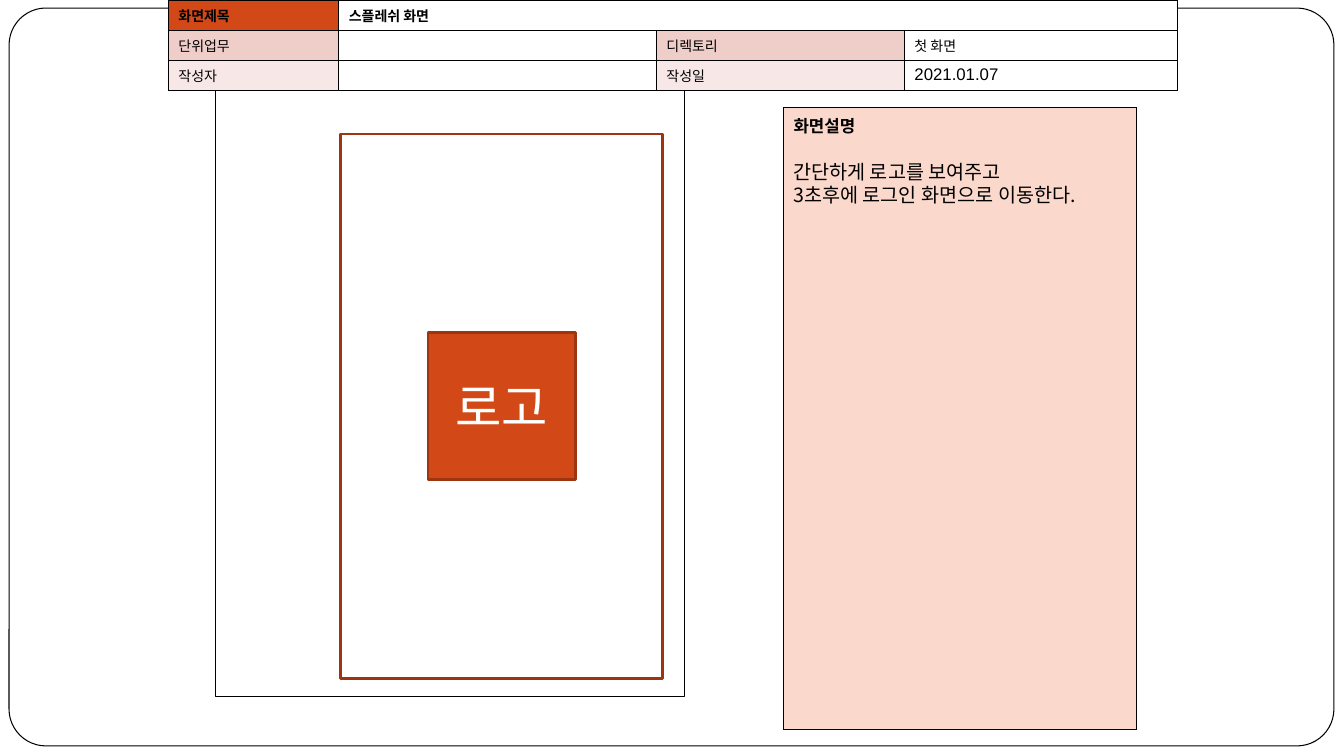
from pptx import Presentation
from pptx.dml.color import RGBColor as Rgb
from pptx.enum.shapes import MSO_SHAPE as Shape
from pptx.enum.text import MSO_ANCHOR as Anchor, PP_ALIGN as Align
from pptx.oxml.ns import qn
from pptx.util import Inches, Pt
from lxml.etree import SubElement

SCREEN_INFO = [
    ["화면제목", "스플레쉬 화면", "", ""],
    ["단위업무", "", "디렉토리", "첫 화면"],
    ["작성자", "", "작성일", "2021.01.07"],
]
DESCRIPTION_HEADING = "화면설명"
DESCRIPTION = ["간단하게 로고를 보여주고", "3초후에 로그인 화면으로 이동한다."]
LOGO = "로고"

THEME = {
    "ink": "000000", "paper": "FFFFFF", "accent": "D34817", "edge": "9C3511",
    "panel": "FAD8CB", "labels": ["D34817", "EFCECA", "F7E8E7"],
    "font": "Arial", "korean": "Noto Sans CJK KR",
    "label": 10, "heading": 12, "body": 14, "logo": 36,
}

WIDTH, HEIGHT = 13.33, 7.5
INFO_COLUMNS, INFO_ROW = [1.69, 3.15, 2.46, 2.71], 0.3
PANEL_LEFT, PANEL_TOP, PANEL_WIDTH, PANEL_HEIGHT = 7.77, 1.07, 3.5, 6.17
PHONE = (3.38, 1.33, 3.19, 5.4)
LOGO_SIDE = 1.46


def color(name):
    return Rgb.from_string(THEME.get(name, name))


def write(frame, lines, size="label", ink="ink", font="font", bold=False,
          align=Align.LEFT, leading=None):
    frame.word_wrap = True
    for index, line in enumerate(lines):
        paragraph = frame.paragraphs[0] if index == 0 else frame.add_paragraph()
        paragraph.alignment = align
        if leading:
            paragraph.line_spacing = Pt(leading)
        if not line:
            SubElement(paragraph._p, qn("a:endParaRPr"), sz=str(THEME[size] * 100))
            continue
        run = paragraph.add_run()
        run.text = line
        run.font.size, run.font.bold = Pt(THEME[size]), bold
        run.font.name, run.font.color.rgb = THEME[font], color(ink)


def add_box(box, kind=Shape.RECTANGLE, fill="paper", line="ink", weight=1):
    shape = slide.shapes.add_shape(kind, *map(Inches, box))
    shape.shadow.inherit = False
    shape.fill.solid()
    shape.fill.fore_color.rgb = color(fill)
    shape.line.color.rgb = color(line)
    shape.line.width = Pt(weight)
    return shape


def add_grid(left, top, columns, rows):
    table = slide.shapes.add_table(
        len(rows), len(columns), Inches(left), Inches(top),
        Inches(sum(columns)), Inches(sum(rows))).table
    table.first_row = table.horz_banding = False
    for column, width in zip(table.columns, columns):
        column.width = Inches(width)
    for row, height in zip(table.rows, rows):
        row.height = Inches(height)
    return table


def paint(cell, fill):
    properties = cell._tc.get_or_add_tcPr()
    for side in ("lnL", "lnR", "lnT", "lnB"):
        border = SubElement(properties, qn(f"a:{side}"), w=str(Pt(1)))
        SubElement(SubElement(border, qn("a:solidFill")), qn("a:srgbClr"), val=THEME["ink"])
    cell.fill.solid()
    cell.fill.fore_color.rgb = color(fill)


deck = Presentation()
deck.slide_width, deck.slide_height = Inches(WIDTH), Inches(HEIGHT)
slide = deck.slides.add_slide(deck.slide_layouts[6])

frame = add_box((0.09, 0.08, 13.14, 7.32), Shape.ROUNDED_RECTANGLE, weight=0.75)
frame.adjustments[0] = 0.05
add_box((2.14, 0.74, 4.65, 6.17))

info = add_grid(1.67, 0, INFO_COLUMNS, [INFO_ROW] * len(SCREEN_INFO))
info.cell(0, 1).merge(info.cell(0, 3))
for row, values in enumerate(SCREEN_INFO):
    for column, value in enumerate(values):
        cell = info.cell(row, column)
        is_label = column % 2 == 0 and not cell.is_spanned
        paint(cell, THEME["labels"][row] if is_label else "paper")
        size = "heading" if value[:1].isdigit() else "label"
        write(cell.text_frame, [value], size=size, bold=row == 0)

panel = add_grid(PANEL_LEFT, PANEL_TOP, [PANEL_WIDTH], [PANEL_HEIGHT]).cell(0, 0)
paint(panel, "panel")
write(panel.text_frame, [DESCRIPTION_HEADING], size="heading", bold=True)

add_box(PHONE, line="edge", weight=2)

description = slide.shapes.add_textbox(
    *map(Inches, (PANEL_LEFT, 1.54, 3.59, 0.57)))
write(description.text_frame, DESCRIPTION, size="body", font="korean", leading=16.5)

left, top, width, height = PHONE
logo = add_box((left + (width - LOGO_SIDE) / 2, top + (height - LOGO_SIDE) / 2,
                LOGO_SIDE, LOGO_SIDE), fill="accent", line="edge", weight=2)
logo.text_frame.vertical_anchor = Anchor.MIDDLE
write(logo.text_frame, [LOGO], size="logo", ink="paper", align=Align.CENTER)

deck.save("out.pptx")
